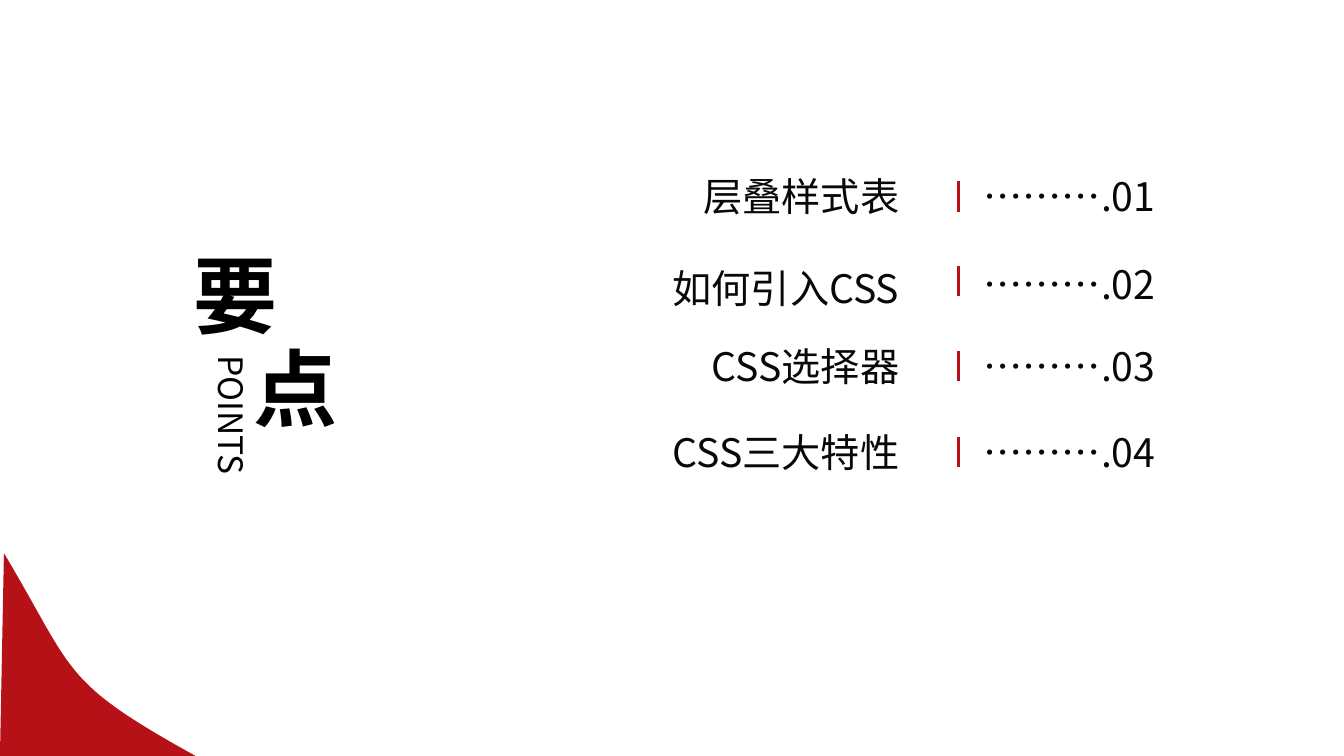
import pptx
import pptx.util
import pptx.dml.color
import pptx.enum.text
import pptx.enum.shapes
import lxml.etree
from pptx.oxml.ns import qn

Cm, Pt = pptx.util.Cm, pptx.util.Pt
RGB = pptx.dml.color.RGBColor
Align = pptx.enum.text.PP_ALIGN

RED = RGB(0xB6, 0x11, 0x17)
BLACK = RGB(0, 0, 0)
INK = RGB(0x08, 0x08, 0x08)
FONT = "Noto Sans CJK SC"

TOPICS = [
    ("层叠样式表", "……….01", 6.53, 4.22, 4.57, 4.22),
    ("如何引入CSS", "……….02", 6.53, 6.53, 6.71, 6.43),
    ("CSS选择器", "……….03", 10.69, 8.51, 8.84, 8.51),
    ("CSS三大特性", "……….04", 7.57, 10.67, 11.02, 10.67),
]
TOPIC_RIGHT, TICK_X, TICK_LENGTH = 22.91, 24.16, 0.76
NUMBER_LEFT, NUMBER_WIDTH, ROW_HEIGHT = 24.54, 5.16, 1.45

CURVE = [(0.1, 13.94), (1.91, 16.97), (1.5, 17.15), (4.93, 19.05)]
CORNER = (0, 19.05)
CURVE_STEPS = 40


def write(holder, text, size, color, bold=False, align=Align.LEFT, wrap=True):
    frame = holder.text_frame
    frame.text = text
    frame.word_wrap = wrap
    frame.auto_size = pptx.enum.text.MSO_AUTO_SIZE.SHAPE_TO_FIT_TEXT
    frame.vertical_anchor = pptx.enum.text.MSO_ANCHOR.TOP
    paragraph = frame.paragraphs[0]
    paragraph.alignment = align
    run = paragraph.runs[0]
    run.font.name = FONT
    run.font.size = Pt(size)
    run.font.bold = bold
    run.font.color.rgb = color
    lxml.etree.SubElement(run.font._element, qn("a:ea")).set("typeface", FONT)
    return run


def add_text(left, top, width, height, *content, **style):
    box = slide.shapes.add_textbox(Cm(left), Cm(top), Cm(width), Cm(height))
    write(box, *content, **style)
    return box


def curve_point(t):
    weights = ((1 - t) ** 3, 3 * t * (1 - t) ** 2, 3 * t * t * (1 - t), t ** 3)
    return tuple(Cm(sum(w * p[axis] for w, p in zip(weights, CURVE))) for axis in (0, 1))


deck = pptx.Presentation()
deck.slide_width, deck.slide_height = Cm(33.87), Cm(19.05)
slide = deck.slides.add_slide(deck.slide_layouts[5])

outline = [curve_point(step / CURVE_STEPS) for step in range(CURVE_STEPS + 1)]
builder = slide.shapes.build_freeform(*outline[0])
builder.add_line_segments(outline[1:] + [tuple(map(Cm, CORNER))], close=True)
corner_wave = builder.convert_to_shape()
corner_wave.shadow.inherit = False
corner_wave.fill.solid()
corner_wave.fill.fore_color.rgb = RED
corner_wave.line.fill.background()

heading = slide.shapes.title
heading.left, heading.top, heading.width, heading.height = map(Cm, (4.62, 6.02, 5, 2.82))
heading_run = write(heading, "要", 60, BLACK, bold=True)
heading_run.font._element.set("spc", "400")
add_text(6.15, 8.36, 2.39, 2.82, "点", 60, BLACK, bold=True)
points = add_text(4.93, 8.71, 1.55, 3.4, "POINTS", 24, BLACK, wrap=False)
points.text_frame._txBody.bodyPr.set("vert", "eaVert")

for topic, number, width, topic_top, tick_top, number_top in TOPICS:
    add_text(TOPIC_RIGHT - width, topic_top, width, ROW_HEIGHT, topic, 28, INK, align=Align.RIGHT)
    tick = slide.shapes.add_connector(
        pptx.enum.shapes.MSO_CONNECTOR.STRAIGHT,
        Cm(TICK_X), Cm(tick_top), Cm(TICK_X), Cm(tick_top + TICK_LENGTH))
    tick.line.color.rgb = RED
    tick.line.width = Pt(2.25)
    lxml.etree.SubElement(tick._element.spPr, qn("a:effectLst"))
    add_text(NUMBER_LEFT, number_top, NUMBER_WIDTH, ROW_HEIGHT, number, 28, INK)

deck.save("out.pptx")
